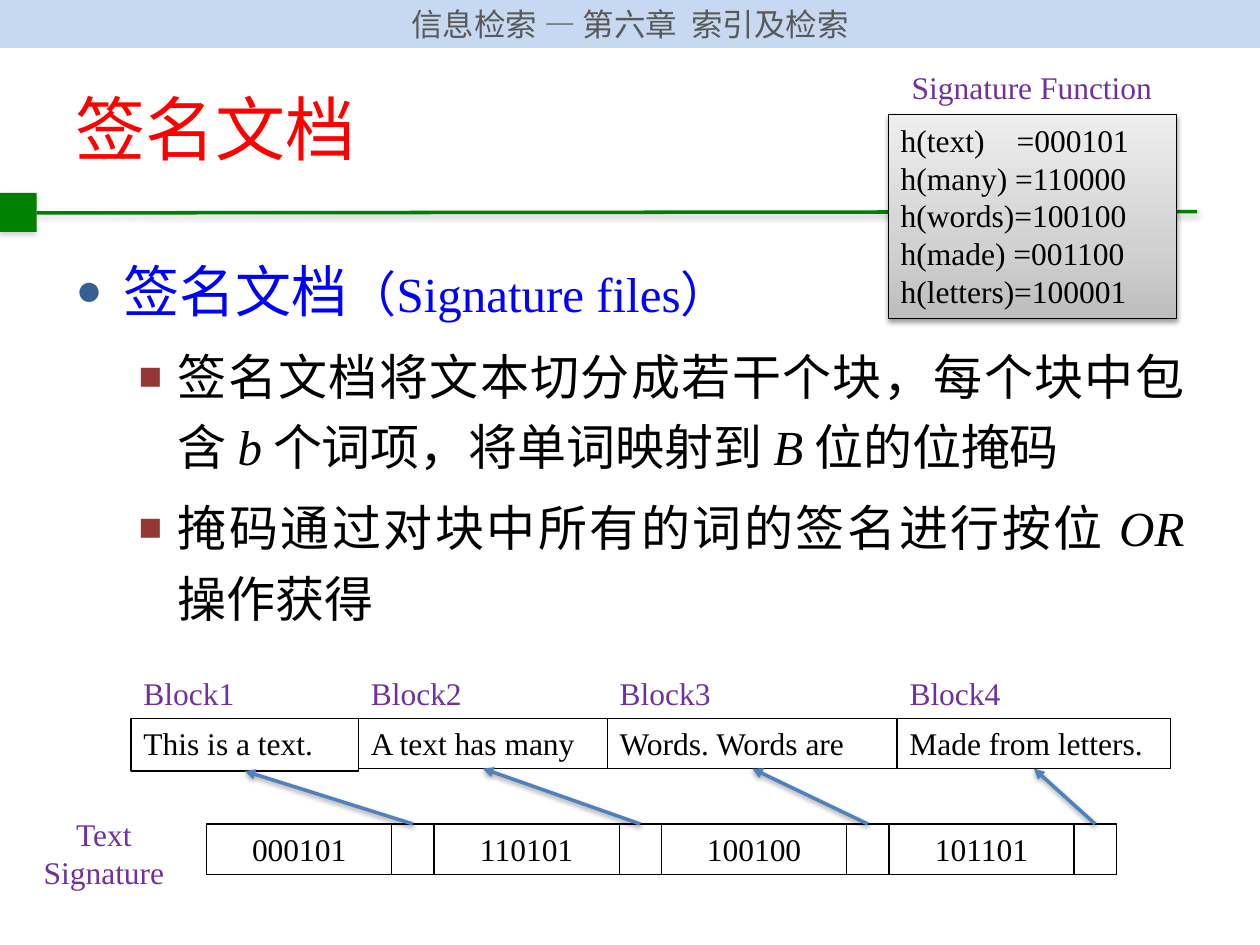
from copy import deepcopy
from dataclasses import dataclass
from itertools import accumulate

from lxml import etree
from pptx import Presentation
from pptx.dml.color import RGBColor
from pptx.enum.shapes import MSO_CONNECTOR, MSO_SHAPE
from pptx.enum.text import MSO_ANCHOR, MSO_AUTO_SIZE, PP_ALIGN
from pptx.oxml.ns import qn
from pptx.util import Emu, Inches, Pt

RECTANGLE, STRAIGHT = MSO_SHAPE.RECTANGLE, MSO_CONNECTOR.STRAIGHT
TOP, MIDDLE = MSO_ANCHOR.TOP, MSO_ANCHOR.MIDDLE
FIXED, GROW = MSO_AUTO_SIZE.NONE, MSO_AUTO_SIZE.SHAPE_TO_FIT_TEXT
LEFT, CENTER, JUSTIFY = PP_ALIGN.LEFT, PP_ALIGN.CENTER, PP_ALIGN.JUSTIFY

BLACK = RGBColor(0x00, 0x00, 0x00)
RED = RGBColor(0xFF, 0x00, 0x00)
BLUE = RGBColor(0x00, 0x00, 0xFF)
GREEN = RGBColor(0x00, 0x80, 0x00)
PURPLE = RGBColor(0x70, 0x30, 0xA0)
GRAY = RGBColor(0x59, 0x59, 0x59)
SHADOW_GRAY = RGBColor(0x80, 0x80, 0x80)
PALE_BLUE = RGBColor(0xC6, 0xD9, 0xF1)
ARROW_BLUE = RGBColor(0x4F, 0x81, 0xBD)
BULLET_BLUE = RGBColor(0x37, 0x60, 0x92)
BULLET_RED = RGBColor(0x95, 0x37, 0x35)
GRADIENT = ((0, RGBColor(0xBD, 0xBD, 0xBD)), (0.35, RGBColor(0xD1, 0xD1, 0xD1)),
            (1, RGBColor(0xEE, 0xEE, 0xEE)))

SERIF, SANS, CHINESE = "Times New Roman", "Calibri", "Noto Sans CJK SC"
COLUMNS, ROWS = 100, 75  # grid of the slide
CELL = Inches(0.1)

BLOCK_LEFT, BLOCK_TOP, LABEL_TOP = 10.4, 57, 53
SIGNATURE_LEFT, SIGNATURE_TOP = 16.4, 65.4
SIGNATURE_PITCH, SIGNATURE_WIDTH = 18.05, 14.7
ROW_HEIGHT = 4


@dataclass
class Box:
    left: float
    top: float
    width: float
    height: float

    def lengths(self) -> list[Emu]:
        return [grid(value) for value in (self.left, self.top, self.width, self.height)]


@dataclass
class Block:
    text: str
    width: float
    signature: str
    height: float = ROW_HEIGHT


@dataclass
class Style:
    size: float = 18
    color: RGBColor = BLACK
    name: str = SERIF
    italic: bool = False


@dataclass
class Item:
    bullet: str
    bullet_color: RGBColor
    level: int
    margin: float
    hanging: float
    space_before: float
    runs: list[tuple[str, Style]]


HEADING = Style(32, BLUE, SANS)
PLAIN = Style(28, BLACK, SANS)
ITALIC = Style(28, BLACK, SERIF, True)
LABEL = Style(color=PURPLE)
POINT = ("■", BULLET_RED, 1, 8.1, 3.1, 6)

ITEMS = [
    Item("●", BULLET_BLUE, 0, 3.8, 3.8, 0,
         [("签名文档", HEADING), ("（Signature files）", Style(28, BLUE))]),
    Item(*POINT, [("签名文档将文本切分成若干个块，每个块中包含 ", PLAIN), ("b", ITALIC),
                  (" 个词项，将单词映射到 ", PLAIN), ("B", ITALIC), (" 位的位掩码", PLAIN)]),
    Item(*POINT, [("掩码通过对块中所有的词的签名进行按位 ", PLAIN), ("OR", ITALIC),
                  (" 操作获得", PLAIN)]),
]
BLOCKS = [
    Block("This is a text.", 18.05, "000101", 4.2),
    Block("A text has many", 19.75, "110101"),
    Block("Words. Words are", 23, "100100"),
    Block("Made from letters.", 21.7, "101101"),
]
HASHES = ["h(text)\t=000101", "h(many) =110000", "h(words)=100100",
          "h(made) =001100", "h(letters)=100001"]


def grid(cells: float) -> Emu:
    return Emu(round(cells * CELL))


def add_run(paragraph, text: str, style: Style) -> None:
    run = paragraph.add_run()
    run.text = text
    values = {"size": Pt(style.size), "name": style.name, "italic": style.italic}
    for attribute, value in values.items():
        setattr(run.font, attribute, value)
    run.font.color.rgb = style.color
    etree.SubElement(run._r.get_or_add_rPr(), qn("a:ea"), typeface=CHINESE)


def write(frame, lines: list[str], style: Style, align=LEFT, anchor=TOP, fit=GROW) -> None:
    values = {"word_wrap": True, "auto_size": fit, "vertical_anchor": anchor}
    for attribute, value in values.items():
        setattr(frame, attribute, value)
    for index, line in enumerate(lines):
        paragraph = frame.add_paragraph() if index else frame.paragraphs[0]
        paragraph.alignment = align
        add_run(paragraph, line, style)


def set_shadow(shape, color: RGBColor, alpha: int, distance: float) -> None:
    properties = shape._element.spPr
    effects = properties.find(qn("a:effectLst"))
    if effects is None:
        effects = etree.SubElement(properties, qn("a:effectLst"))
    shadow = etree.SubElement(effects, qn("a:outerShdw"), blurRad=str(Pt(3.1)),
                              dist=str(Pt(distance)), dir="5400000", rotWithShape="0")
    tint = etree.SubElement(shadow, qn("a:srgbClr"), val=str(color))
    etree.SubElement(tint, qn("a:alpha"), val=str(alpha * 1000))


def add_rectangle(slide, box: Box, fill=None, outlined: bool = True):
    shape = slide.shapes.add_shape(RECTANGLE, *box.lengths())
    shape.shadow.inherit = False
    if fill is None:
        shape.fill.background()
    else:
        shape.fill.solid()
        shape.fill.fore_color.rgb = fill
    if outlined:
        shape.line.color.rgb = BLACK
        shape.line.width = Pt(0.75)
    else:
        shape.line.fill.background()
    return shape


def add_label(slide, box: Box, lines: list[str], align=LEFT) -> None:
    write(slide.shapes.add_textbox(*box.lengths()).text_frame, lines, LABEL, align)


def add_line(slide, start, end, color: RGBColor, shadow: RGBColor, arrow: bool = False) -> None:
    line = slide.shapes.add_connector(STRAIGHT, *map(grid, (*start, *end)))
    line.line.color.rgb = color
    line.line.width = Pt(2)
    if arrow:
        etree.SubElement(line.line._get_or_add_ln(), qn("a:tailEnd"), type="triangle")
    set_shadow(line, shadow, 38, 1.6)


def add_item(paragraph, item: Item) -> None:
    properties = paragraph._p.get_or_add_pPr()
    properties.set("marL", str(grid(item.margin)))
    properties.set("indent", str(-grid(item.hanging)))
    color = etree.SubElement(properties, qn("a:buClr"))
    etree.SubElement(color, qn("a:srgbClr"), val=str(item.bullet_color))
    etree.SubElement(properties, qn("a:buSzPct"), val="80000")
    etree.SubElement(properties, qn("a:buChar"), char=item.bullet)
    values = {"level": item.level, "alignment": JUSTIFY, "line_spacing": 1.2,
              "space_before": Pt(item.space_before)}
    for attribute, value in values.items():
        setattr(paragraph, attribute, value)
    for text, style in item.runs:
        add_run(paragraph, text, style)


def place(shape, box: Box) -> None:
    for attribute, value in zip(("left", "top", "width", "height"), box.lengths()):
        setattr(shape, attribute, value)


def add_frame(slide) -> None:
    """Draw the chapter band and the rule below the title."""
    band = add_rectangle(slide, Box(0, 0, COLUMNS, 3.8), PALE_BLUE, False)
    write(band.text_frame, ["信息检索 — 第六章  索引及检索"], Style(18, GRAY, CHINESE),
          CENTER, MIDDLE, FIXED)
    square = add_rectangle(slide, Box(0, 15.3, 2.9, 3.1), GREEN, False)
    set_shadow(square, SHADOW_GRAY, 35, 1.8)
    add_line(slide, (2.9, 16.9), (95, 16.8), GREEN, SHADOW_GRAY)


def add_blocks(slide) -> None:
    lefts = accumulate((block.width for block in BLOCKS), initial=BLOCK_LEFT)
    gap_width = SIGNATURE_PITCH - SIGNATURE_WIDTH
    for index, (block, left) in enumerate(zip(BLOCKS, lefts)):
        text_box = add_rectangle(slide, Box(left, BLOCK_TOP, block.width, block.height))
        write(text_box.text_frame, [block.text], Style())
        add_label(slide, Box(left, LABEL_TOP, 10.8, ROW_HEIGHT), [f"Block{index + 1}"])
        start = SIGNATURE_LEFT + index * SIGNATURE_PITCH
        gap = start + SIGNATURE_WIDTH
        signature = add_rectangle(slide, Box(start, SIGNATURE_TOP, SIGNATURE_WIDTH, ROW_HEIGHT))
        write(signature.text_frame, [block.signature], Style(), CENTER)
        add_rectangle(slide, Box(gap, SIGNATURE_TOP, gap_width, ROW_HEIGHT))
        add_line(slide, (gap + gap_width / 2, SIGNATURE_TOP),
                 (left + block.width / 2, BLOCK_TOP + block.height), ARROW_BLUE, BLACK, True)
    add_label(slide, Box(1.5, 64.2, 13.5, 7.1), ["Text", "Signature"], CENTER)


def add_hash_table(slide) -> None:
    panel = add_rectangle(slide, Box(70.5, 9.1, 22.9, 16.2))
    panel.fill.gradient()
    panel.fill.gradient_angle = 90
    stops = panel._element.spPr.find(".//" + qn("a:gsLst"))
    stops.insert(1, deepcopy(stops[0]))
    for stop, (position, color) in zip(panel.fill.gradient_stops, GRADIENT):
        stop.position = position
        stop.color.rgb = color
    set_shadow(panel, BLACK, 38, 1.6)
    write(panel.text_frame, HASHES, Style(), JUSTIFY)
    properties = panel.text_frame.paragraphs[0]._p.get_or_add_pPr()
    tabs = etree.SubElement(properties, qn("a:tabLst"))
    etree.SubElement(tabs, qn("a:tab"), pos=str(grid(9.2)), algn="l")
    add_label(slide, Box(70.4, 4.9, 23, ROW_HEIGHT), ["Signature Function"], CENTER)


def main() -> None:
    presentation = Presentation()
    presentation.slide_width, presentation.slide_height = grid(COLUMNS), grid(ROWS)
    slide = presentation.slides.add_slide(presentation.slide_layouts[1])
    title, body = slide.placeholders
    add_frame(slide)
    place(title, Box(5, 5.6, 90, 9.1))
    write(title.text_frame, ["签名文档"], Style(40, RED, CHINESE), JUSTIFY, MIDDLE, FIXED)
    place(body, Box(5, 18.8, 90, 52.8))
    body.text_frame.auto_size = FIXED
    for index, item in enumerate(ITEMS):
        frame = body.text_frame
        add_item(frame.add_paragraph() if index else frame.paragraphs[0], item)
    add_blocks(slide)
    add_hash_table(slide)
    presentation.save("out.pptx")


if __name__ == "__main__":
    main()
